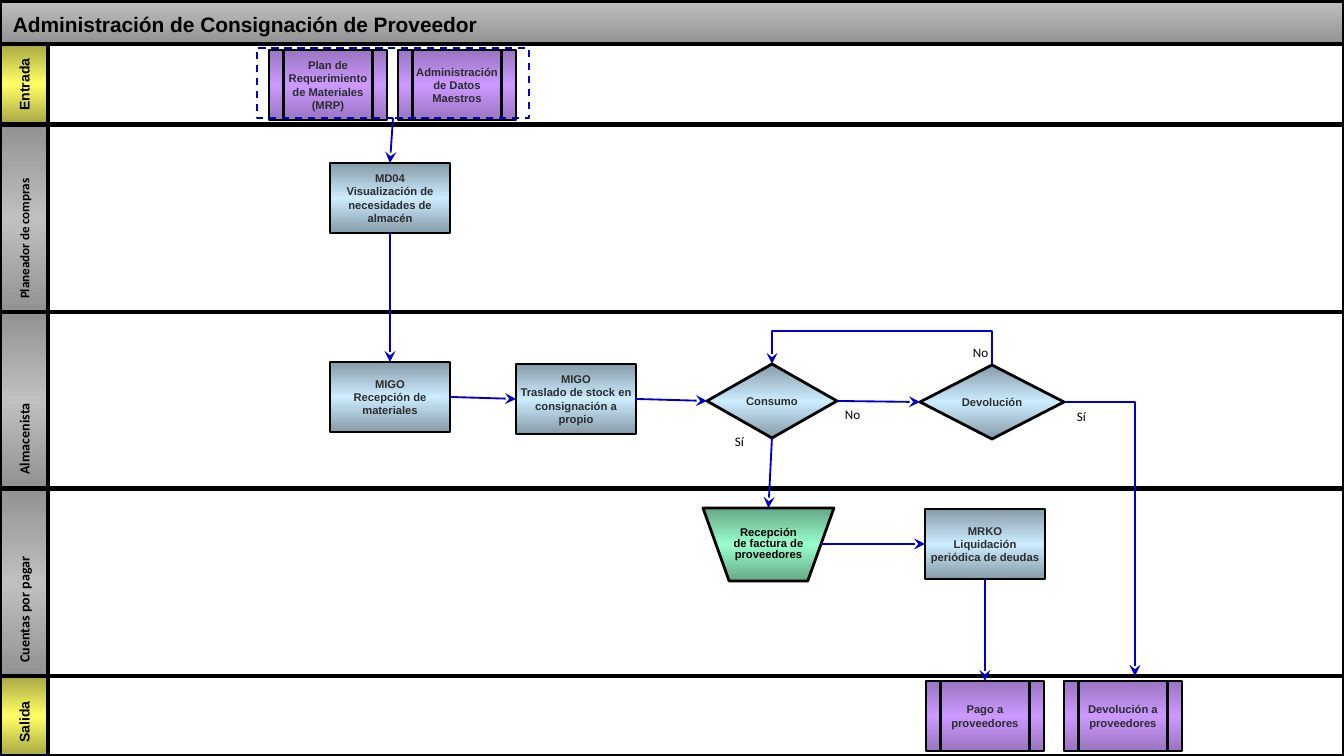
import copy

import pptx
import pptx.dml.color
import pptx.enum.dml
import pptx.enum.shapes
import pptx.enum.text
import pptx.oxml
import pptx.oxml.ns
import pptx.util

EMU_PER_PX = 914400 / 134.4
WIDTH, HEIGHT = 1344, 756
LABEL_WIDTH = 48
BLUE = "0000CC"
DARK = "2B2D2E"
GRAY = ("929292", "C0C0C0", "929292")
YELLOW = ("A8A843", "FFFF66", "A8A843")
STEEL = ("869BA8", "CCECFF", "869BA8")
PURPLE = ("9A74C1", "CC99FF", "9A74C1")
GREEN = ("65A886", "99FFCC", "65A886")
TOP, LEFT, BOTTOM, RIGHT = range(4)

SHAPE = pptx.enum.shapes.MSO_SHAPE
CONNECTOR = pptx.enum.shapes.MSO_CONNECTOR
ALIGN = pptx.enum.text.PP_ALIGN
ANCHOR = pptx.enum.text.MSO_ANCHOR


def px(length):
    return pptx.util.Emu(round(length * EMU_PER_PX))


def rgb(value):
    return pptx.dml.color.RGBColor.from_string(value)


def fill_gradient(shape, colors):
    """Shade from top to bottom through evenly spaced colours."""
    shape.fill.gradient()
    shape.fill.gradient_angle = 270
    stop_list = shape.fill._fill._gradFill.gsLst
    while len(stop_list) < len(colors):
        stop_list.append(copy.deepcopy(stop_list[0]))
    for i, (stop, color) in enumerate(zip(shape.fill.gradient_stops, colors)):
        stop.color.rgb = rgb(color)
        stop.position = i / (len(colors) - 1)


def add_block(slide, kind, at, fill=None, line="000000", weight=2):
    block = slide.shapes.add_shape(kind, *map(px, at))
    block.shadow.inherit = False
    if fill is None:
        block.fill.background()
    elif isinstance(fill, tuple):
        fill_gradient(block, fill)
    else:
        block.fill.solid()
        block.fill.fore_color.rgb = rgb(fill)
    block.line.color.rgb = rgb(line)
    block.line.width = pptx.util.Pt(weight)
    return block


def write(shape, lines, size, font="Arial", color="000000", bold=True,
          align=ALIGN.CENTER, anchor=ANCHOR.MIDDLE, margins=(3, 3, 3, 3), spacing=None):
    """Margins are left, top, right and bottom."""
    frame = shape.text_frame
    frame.word_wrap = True
    frame.vertical_anchor = anchor
    (frame.margin_left, frame.margin_top,
     frame.margin_right, frame.margin_bottom) = map(px, margins)
    for i, line in enumerate(lines):
        paragraph = frame.add_paragraph() if i else frame.paragraphs[0]
        paragraph.alignment = align
        if spacing:
            paragraph.line_spacing = spacing
        run = paragraph.add_run()
        run.text = line
        run.font.name = font
        run.font.size = pptx.util.Pt(size)
        run.font.bold = bold
        run.font.color.rgb = rgb(color)


def add_lane(slide, label, top, height, colors, font, size):
    add_block(slide, SHAPE.RECTANGLE, (0, top, WIDTH, height), "FFFFFF")
    header = add_block(slide, SHAPE.RECTANGLE, (0, top, LABEL_WIDTH, height), colors)
    write(header, [label], size, font, align=ALIGN.LEFT, margins=(0, 0, 0, 13))
    header.text_frame._txBody.bodyPr.set("vert", "vert270")


def add_step(slide, kind, at, colors, *lines, color=DARK, spacing=None):
    step = add_block(slide, kind, at, colors, weight=1.5)
    write(step, lines, 6, color=color, spacing=spacing)
    return step


def add_process(slide, left, top, *lines):
    return add_step(slide, SHAPE.FLOWCHART_PROCESS, (left, top, 120, 70), STEEL, *lines)


def add_subprocess(slide, left, top, text):
    return add_step(slide, SHAPE.FLOWCHART_PREDEFINED_PROCESS,
                    (left, top, 118, 70), PURPLE, text)


def add_decision(slide, left, top, width, text):
    return add_step(slide, SHAPE.FLOWCHART_DECISION, (left, top, width, 74), STEEL, text)


def add_arrow(slide, kind, start=(0, 0), end=(0, 0)):
    arrow = slide.shapes.add_connector(kind, *map(px, start + end))
    arrow.line.color.rgb = rgb(BLUE)
    arrow.line.width = pptx.util.Pt(1)
    line = arrow.line._get_or_add_ln()
    pptx.oxml.ns.qn("a:tailEnd")
    tail = pptx.oxml.parse_xml(
        f'<a:tailEnd {pptx.oxml.ns.nsdecls("a")} type="stealth"/>')
    line.append(tail)
    effects = pptx.oxml.parse_xml(f'<a:effectLst {pptx.oxml.ns.nsdecls("a")}/>')
    line.addnext(effects)
    return arrow


def join(slide, source, source_side, target, target_side):
    arrow = add_arrow(slide, CONNECTOR.STRAIGHT)
    arrow.begin_connect(source, source_side)
    arrow.end_connect(target, target_side)


def add_return_loop(slide, start, end, rise):
    """Leave upwards, run left and come down onto the end."""
    arrow = add_arrow(slide, CONNECTOR.ELBOW)
    depth, span = start[1] - end[1], start[0] - end[0]
    arrow.left = px((start[0] + end[0] - depth) / 2)
    arrow.top = px((start[1] + end[1] - span) / 2)
    arrow.width, arrow.height = px(depth), px(span)
    properties = arrow._element.spPr
    properties.xfrm.set("rot", str(270 * 60000))
    properties.xfrm.set("flipV", "1")
    adjustments = properties.prstGeom.get_or_add_avLst()
    adjustments.append(pptx.oxml.parse_xml(
        f'<a:gd {pptx.oxml.ns.nsdecls("a")} name="adj1" '
        f'fmla="val {round(rise / depth * 100000)}"/>'))


def add_answer(slide, text, left, top, width):
    answer = slide.shapes.add_textbox(*map(px, (left, top, width, 30)))
    write(answer, [text], 7, "Calibri", bold=False, align=ALIGN.LEFT,
          anchor=ANCHOR.TOP, margins=(13, 7, 0, 7))


def main():
    deck = pptx.Presentation()
    deck.slide_width, deck.slide_height = px(WIDTH), px(HEIGHT)
    slide = deck.slides.add_slide(deck.slide_layouts[6])
    slide.background.fill.solid()
    slide.background.fill.fore_color.rgb = rgb("F2F2F2")

    for lane in (("Entrada", 44, 80, YELLOW, "Arial", 7.5),
                 ("Planeador de compras", 125, 187, GRAY, "Calibri", 7),
                 ("Almacenista", 312, 176, GRAY, "Calibri", 7.5),
                 ("Cuentas por pagar", 489, 187, GRAY, "Calibri", 7.5),
                 ("Salida", 676, 80, YELLOW, "Arial", 7.5)):
        add_lane(slide, *lane)
    banner = add_block(slide, SHAPE.RECTANGLE, (0, 1, WIDTH, 43), ("C0C0C0", "929292"))
    write(banner, ["Administración de Consignación de Proveedor"], 11.2,
          align=ALIGN.LEFT, anchor=ANCHOR.BOTTOM, margins=(13, 7, 13, 7))

    add_subprocess(slide, 269, 50, "Plan de Requerimiento de Materiales (MRP)")
    add_subprocess(slide, 398, 50, "Administración de Datos Maestros")
    inputs = add_block(slide, SHAPE.RECTANGLE, (257, 48, 272, 70), line=BLUE, weight=1)
    inputs.line.dash_style = pptx.enum.dml.MSO_LINE.DASH

    needs = add_process(slide, 330, 163, "MD04", "Visualización de necesidades de almacén")
    receipt = add_process(slide, 330, 362, "MIGO", "Recepción de materiales")
    transfer = add_process(slide, 516, 364, "MIGO",
                           "Traslado de stock en consignación a propio")
    settlement = add_process(slide, 925, 509, "MRKO", "Liquidación periódica de deudas")
    consumption = add_decision(slide, 707, 364, 130, "Consumo")
    giveback = add_decision(slide, 920, 365, 144, "Devolución")
    invoice = add_step(slide, SHAPE.FLOWCHART_MANUAL_OPERATION, (703, 508, 131, 73), GREEN,
                       "Recepción de factura de proveedores", color="000000", spacing=0.8)
    payment = add_subprocess(slide, 926, 681, "Pago a proveedores")
    add_subprocess(slide, 1064, 681, "Devolución a proveedores")

    join(slide, inputs, BOTTOM, needs, TOP)
    join(slide, needs, BOTTOM, receipt, TOP)
    join(slide, receipt, RIGHT, transfer, LEFT)
    join(slide, transfer, RIGHT, consumption, LEFT)
    join(slide, consumption, BOTTOM, invoice, TOP)
    join(slide, consumption, RIGHT, giveback, LEFT)
    join(slide, settlement, BOTTOM, payment, TOP)
    billing = add_arrow(slide, CONNECTOR.STRAIGHT, (821, 544), (925, 544))
    billing.end_connect(settlement, LEFT)
    add_return_loop(slide, (992, 365), (772, 364), 34)
    exit_arrow = add_arrow(slide, CONNECTOR.ELBOW, (1064, 402), (1135, 676))
    exit_arrow._element.spPr.prstGeom.set("prst", "bentConnector2")

    for answer in (("Sí", 722, 426, 36), ("No", 832, 399, 51),
                   ("Sí", 1064, 401, 36), ("No", 960, 337, 51)):
        add_answer(slide, *answer)

    deck.save("out.pptx")


if __name__ == "__main__":
    main()
